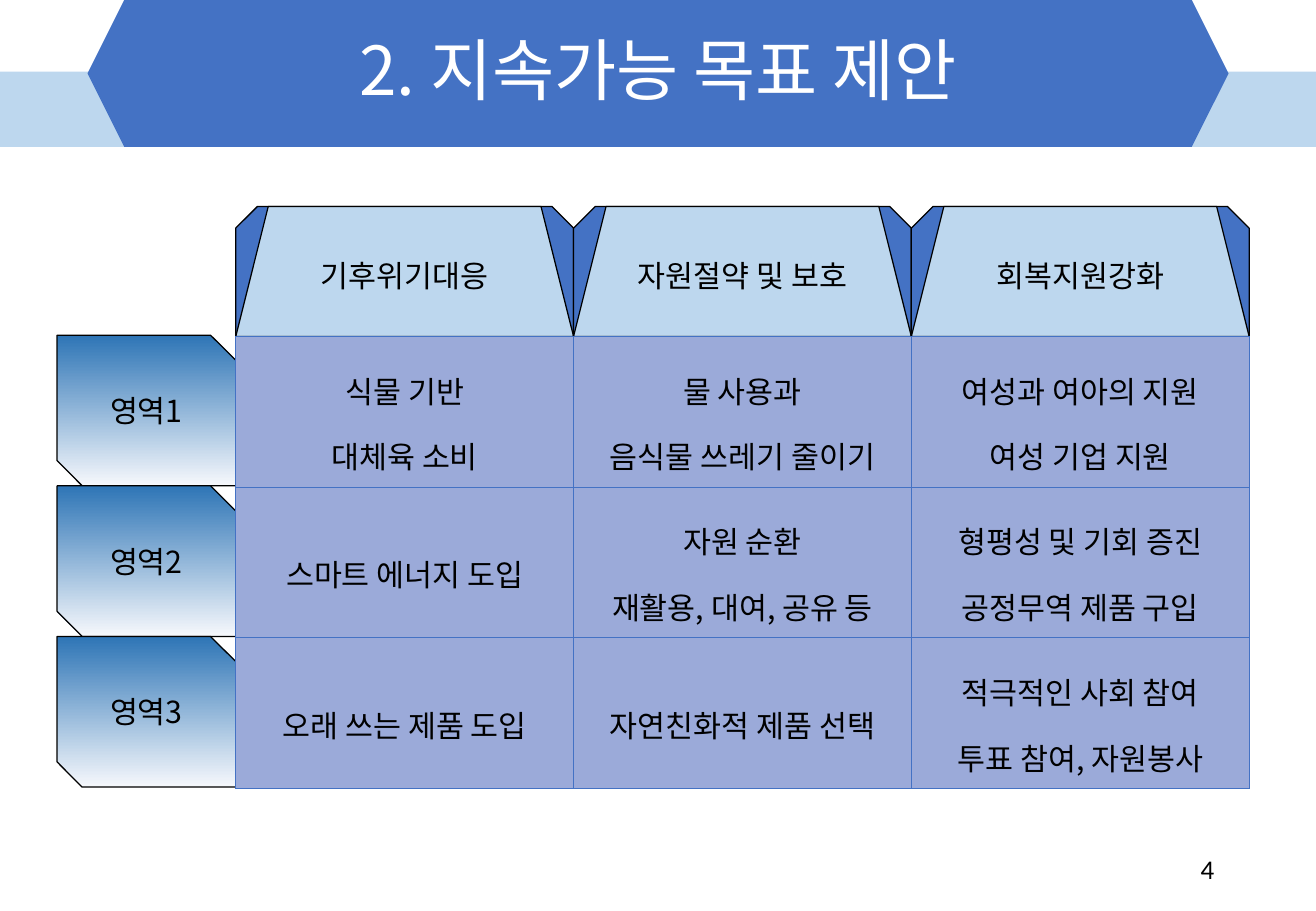
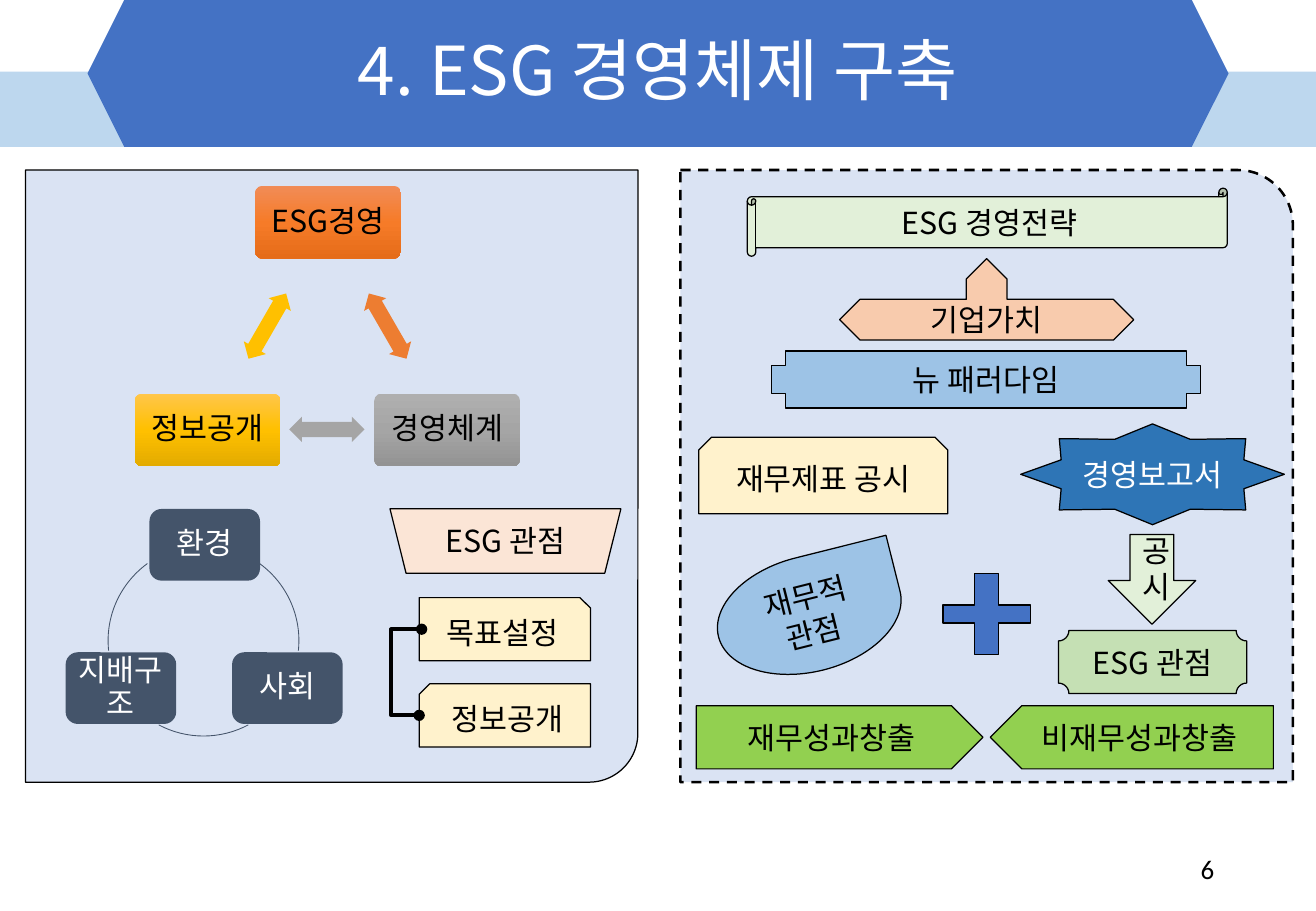
import copy

import pptx
import pptx.dml.color
import pptx.enum.dml
import pptx.enum.shapes
import pptx.enum.text
import pptx.oxml
import pptx.oxml.ns
import pptx.util

Inches, Pt = pptx.util.Inches, pptx.util.Pt
RGB = pptx.dml.color.RGBColor.from_string
Kind = pptx.enum.shapes.MSO_SHAPE
Align = pptx.enum.text.PP_ALIGN
Middle = pptx.enum.text.MSO_ANCHOR.MIDDLE
qn = pptx.oxml.ns.qn


class Theme:
    font, digit = "Noto Sans CJK KR", "Calibri"
    head, body, page = 40, 18, 16
    black, white = "000000", "FFFFFF"
    blue, pale, deep, sky = "4472C4", "BDD7EE", "2E75B6", "9DC3E6"
    cell, panel, slate = "9BAAD9", "DAE3F3", "44546A"
    cream, peach, blush = "FFF2CC", "F8CBAD", "FBE5D6"
    mint, leaf, lime = "E2F0D9", "C5E0B4", "92D050"
    orange, gray, gold = "ED7D31", "A5A5A5", "FFC000"
    label = ["2E75B6", "F6F8FC"]
    warm = ["F18C57", "F67B28", "E56C19"]
    cool = ["AFAFAF", "A5A5A5", "939393"]
    amber = ["FFC64B", "FFC000", "E3AB00"]


def write(frame, text, size=Theme.body, color=Theme.black, font=Theme.font,
          align=Align.CENTER, space=1.0):
    """Fill a text frame, one paragraph for each line of text."""
    frame.text = text
    for para in frame.paragraphs:
        para.alignment, para.line_spacing = align, space
        para.font.size, para.font.name = Pt(size), font
        para.font.color.rgb = RGB(color)
        east = pptx.oxml.parse_xml(
            f'<a:ea {pptx.oxml.ns.nsdecls("a")} typeface="{font}"/>')
        para.font._element.append(east)


def draw(shapes, kind, box, fill, text="", line=Theme.black, color=Theme.black,
         adj=(), flip=None, space=1.0):
    """Add a preset shape; a list as fill makes a gradient from top to bottom."""
    shape = shapes.add_shape(kind, *map(Inches, box))
    shape.shadow.inherit = False
    for i, value in enumerate(adj):
        shape.adjustments[i] = value
    props = shape._element.spPr
    if flip:
        props.find(qn("a:xfrm")).set(flip, "1")
    if isinstance(fill, list):
        shape.fill.gradient()
        shape.fill.gradient_angle = 270
        stops = props.find(".//" + qn("a:gsLst"))
        for _ in fill[2:]:
            stops.append(copy.deepcopy(stops[-1]))
        for i, stop in enumerate(shape.fill.gradient_stops):
            stop.color.rgb = RGB(fill[i])
            stop.position = i / (len(fill) - 1)
    elif fill:
        shape.fill.solid()
        shape.fill.fore_color.rgb = RGB(fill)
    else:
        shape.fill.background()
    if line:
        shape.line.color.rgb = RGB(line)
        shape.line.width = Pt(0.75)
    else:
        shape.line.fill.background()
    if text:
        write(shape.text_frame, text, color=color, space=space)
    return shape


deck = pptx.Presentation()
deck.slide_width, deck.slide_height = Inches(10.83), Inches(7.5)

# Shared band, title and page number
slides = []
for title, page in [("2. 지속가능 목표 제안", "4"), ("4. ESG 경영체제 구축", "6")]:
    slide = deck.slides.add_slide(deck.slide_layouts[6])
    draw(slide.shapes, Kind.RECTANGLE, (0, 0.59, 10.83, 0.62), Theme.pale, line=None)
    draw(slide.shapes, Kind.HEXAGON, (0.72, 0, 9.39, 1.21), Theme.blue, line=None)
    for box, text, style in [
        ((0, 0, 10.83, 1.21), title,
         dict(size=Theme.head, color=Theme.white, space=0.9)),
        ((7.65, 6.95, 2.44, 0.4), page,
         dict(size=Theme.page, font=Theme.digit, align=Align.RIGHT)),
    ]:
        frame = slide.shapes.add_textbox(*map(Inches, box)).text_frame
        frame.word_wrap, frame.vertical_anchor = True, Middle
        write(frame, text, **style)
    slides.append(slide)
goals, system = slides

# Goals: row labels, column heads, table
left, top, wide, high = 1.94, 2.77, 2.78, 1.24
for i in range(3):
    draw(goals.shapes, Kind.SNIP_2_DIAG_RECTANGLE,
         (0.47, top - 0.01 + i * high, 1.47, high), Theme.label, f"영역{i + 1}")
for i, text in enumerate(["기후위기대응", "자원절약 및 보호", "회복지원강화"]):
    box = (left + i * wide, 1.7, wide, 1.07)
    draw(goals.shapes, Kind.SNIP_2_SAME_RECTANGLE, box, Theme.blue)
    draw(goals.shapes, Kind.TRAPEZOID, box, Theme.pale, text)

rows = [
    ["식물 기반\n대체육 소비", "물 사용과\n음식물 쓰레기 줄이기",
     "여성과 여아의 지원\n여성 기업 지원"],
    ["스마트 에너지 도입", "자원 순환\n재활용, 대여, 공유 등",
     "형평성 및 기회 증진\n공정무역 제품 구입"],
    ["오래 쓰는 제품 도입", "자연친화적 제품 선택",
     "적극적인 사회 참여\n투표 참여, 자원봉사"],
]
table = goals.shapes.add_table(
    3, 3, *map(Inches, (left, top, 3 * wide, 3 * high))).table
table.first_row = table.horz_banding = False
for i, row in enumerate(rows):
    table.rows[i].height = Inches(high)
    table.columns[i].width = Inches(wide)
    for j, text in enumerate(row):
        cell = table.cell(i, j)
        cell.vertical_anchor = Middle
        write(cell.text_frame, text, space=1.5)
        props = cell._tc.get_or_add_tcPr()
        for side in ("lnL", "lnR", "lnT", "lnB"):
            props.append(pptx.oxml.parse_xml(
                f'<a:{side} {pptx.oxml.ns.nsdecls("a")} w="{Pt(0.5)}"><a:solidFill>'
                f'<a:srgbClr val="{Theme.blue}"/></a:solidFill></a:{side}>'))
        cell.fill.solid()
        cell.fill.fore_color.rgb = RGB(Theme.cell)

# System, right panel: strategy
plan = system.shapes.add_group_shape().shapes
panel = draw(plan, Kind.ROUND_1_RECTANGLE, (5.6, 1.4, 5.04, 5.04), Theme.panel,
             adj=[0.09])
panel.line.width = Pt(1.5)
panel.line.dash_style = pptx.enum.dml.MSO_LINE.DASH
for kind, box, fill, text, extra in [
    (Kind.HORIZONTAL_SCROLL, (6.15, 1.55, 3.95, 0.56), Theme.mint, "ESG 경영전략", {}),
    (Kind.CROSS, (6.35, 2.89, 3.53, 0.47), Theme.sky, "뉴 패러다임", {}),
    (Kind.SNIP_2_SAME_RECTANGLE, (5.75, 3.6, 2.05, 0.63), Theme.cream,
     "재무제표 공시", {}),
    (Kind.STAR_8_POINT, (8.4, 3.49, 2.17, 0.83), Theme.deep, "경영보고서",
     dict(color=Theme.white)),
    (Kind.CROSS, (7.76, 4.72, 0.72, 0.67), Theme.blue, "", dict(adj=[0.39])),
    (Kind.PLAQUE, (8.71, 5.19, 1.55, 0.52), Theme.leaf, "ESG 관점", {}),
    (Kind.PENTAGON, (5.73, 5.81, 2.36, 0.52), Theme.lime, "재무성과창출", {}),
    (Kind.LEFT_RIGHT_UP_ARROW, (6.91, 2.13, 2.42, 0.67), Theme.peach, "기업가치",
     dict(adj=[0.5, 0.25, 0.25])),
    (Kind.PENTAGON, (8.15, 5.81, 2.33, 0.52), Theme.lime, "비재무성과창출",
     dict(flip="flipH")),
    (Kind.DOWN_ARROW, (9.12, 4.4, 0.72, 0.74), Theme.mint, "공시", {}),
]:
    draw(plan, kind, box, fill, text, **extra)
drop = draw(plan, Kind.TEAR, (5.89, 4.58, 1.54, 0.95), Theme.sky, "재무적\n관점")
drop.rotation = 345.9

# System, left panel: management
view = system.shapes.add_group_shape().shapes
draw(view, Kind.ROUND_1_RECTANGLE, (0.21, 1.4, 5.04, 5.04), Theme.panel,
     adj=[0.08], flip="flipV")
draw(view, Kind.TRAPEZOID, (3.21, 4.19, 1.9, 0.53), Theme.blush, flip="flipV")
frame = view.add_textbox(*map(Inches, (3.51, 4.25, 1.3, 0.4))).text_frame
frame.word_wrap = False
write(frame, "ESG 관점")

# Triangle and ring of cards
card, node = (1.2, 0.6), (0.91, 0.59)
for spot, size, fill, text, color, adj in [
    ((2.1, 1.53), card, Theme.warm, "ESG경영", Theme.black, 0.1),
    ((3.08, 3.24), card, Theme.cool, "경영체계", Theme.black, 0.1),
    ((1.11, 3.24), card, Theme.amber, "정보공개", Theme.black, 0.1),
    ((1.23, 4.19), node, Theme.slate, "환경", Theme.white, 0.17),
    ((1.91, 5.37), node, Theme.slate, "사회", Theme.white, 0.17),
    ((0.54, 5.37), node, Theme.slate, "지배구조", Theme.white, 0.17),
]:
    frame = draw(view, Kind.ROUNDED_RECTANGLE, spot + size, fill, text, line=None,
                 color=color, adj=[adj], space=0.9).text_frame
    frame.margin_left = frame.margin_right = Inches(0.07)
    frame.margin_top = frame.margin_bottom = Inches(0.07)
for x, y, turn, fill in [(2.88, 2.58, 60, Theme.orange), (2.38, 3.43, 180, Theme.gray),
                         (1.89, 2.58, 300, Theme.gold)]:
    arrow = draw(view, Kind.LEFT_RIGHT_ARROW, (x, y, 0.62, 0.21), fill, line=None,
                 adj=[0.6, 0.5])
    arrow.rotation = turn
for start, end in [(306, 6), (62, 118), (174, 234)]:
    # An angle adjustment counts 0.6 to the degree
    arc = draw(view, Kind.ARC, (0.89, 4.49, 1.57, 1.57), None, line=Theme.slate,
               adj=[start * 0.6, end * 0.6])
    arc.line.width = Pt(0.5)

# Linked steps
for y, text, flip in [(4.92, "목표설정", None), (5.63, "정보공개", "flipH")]:
    draw(view, Kind.SNIP_1_RECTANGLE, (3.45, y, 1.41, 0.52), Theme.cream, text, flip=flip)
link = view.add_connector(pptx.enum.shapes.MSO_CONNECTOR.ELBOW,
                          *map(Inches, (3.47, 5.18, 3.45, 5.89)))
link.line.color.rgb = RGB(Theme.black)
link.line.width = Pt(2.25)
props = link._element.spPr
bend = props.find(qn("a:prstGeom")).get_or_add_avLst()
bend.append(pptx.oxml.parse_xml(
    f'<a:gd {pptx.oxml.ns.nsdecls("a")} name="adj1" fmla="val 1250000"/>'))
for end in ("headEnd", "tailEnd"):
    props.find(qn("a:ln")).append(pptx.oxml.parse_xml(
        f'<a:{end} {pptx.oxml.ns.nsdecls("a")} type="oval"/>'))
props.append(pptx.oxml.parse_xml(f'<a:effectLst {pptx.oxml.ns.nsdecls("a")}/>'))

deck.save("out.pptx")
